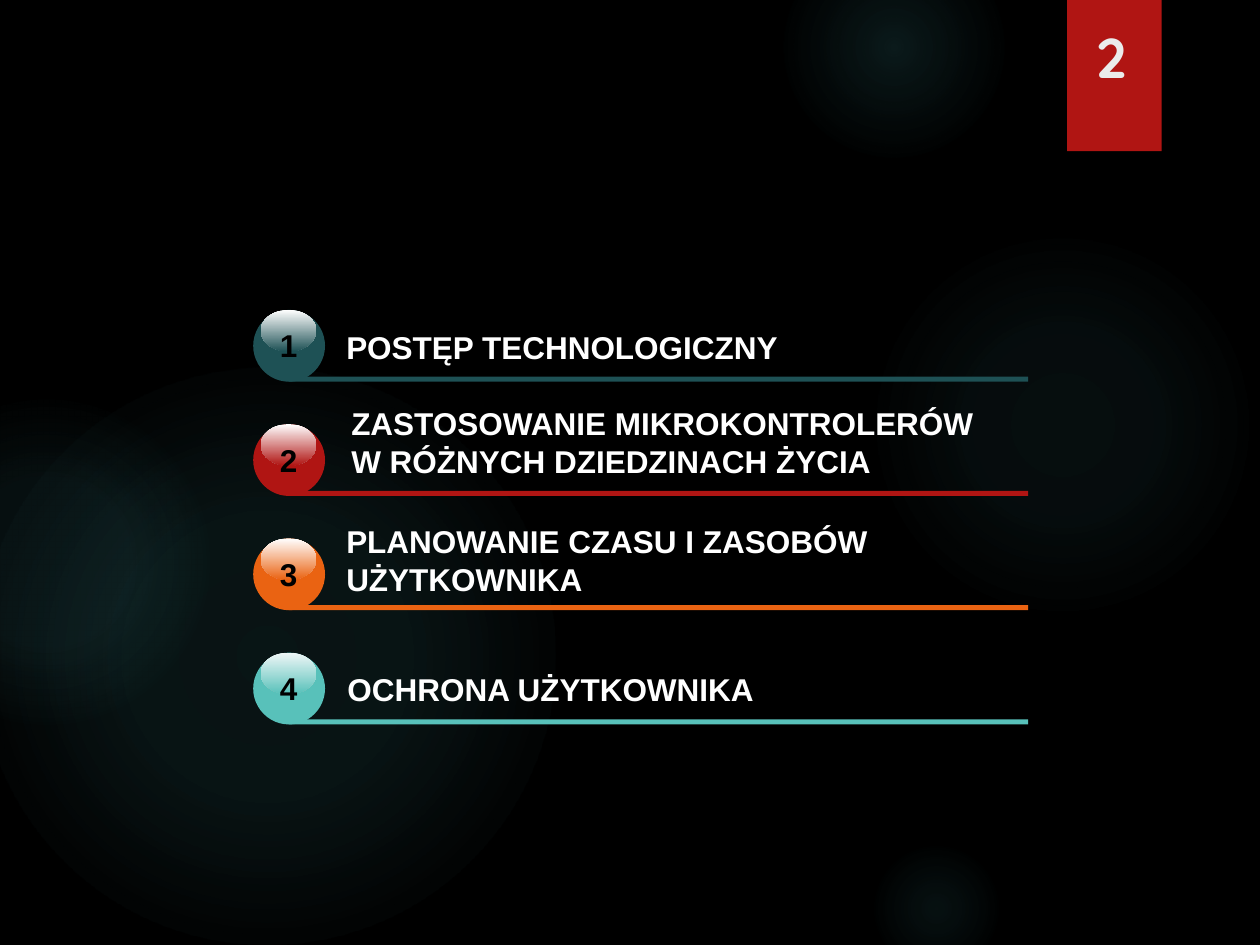
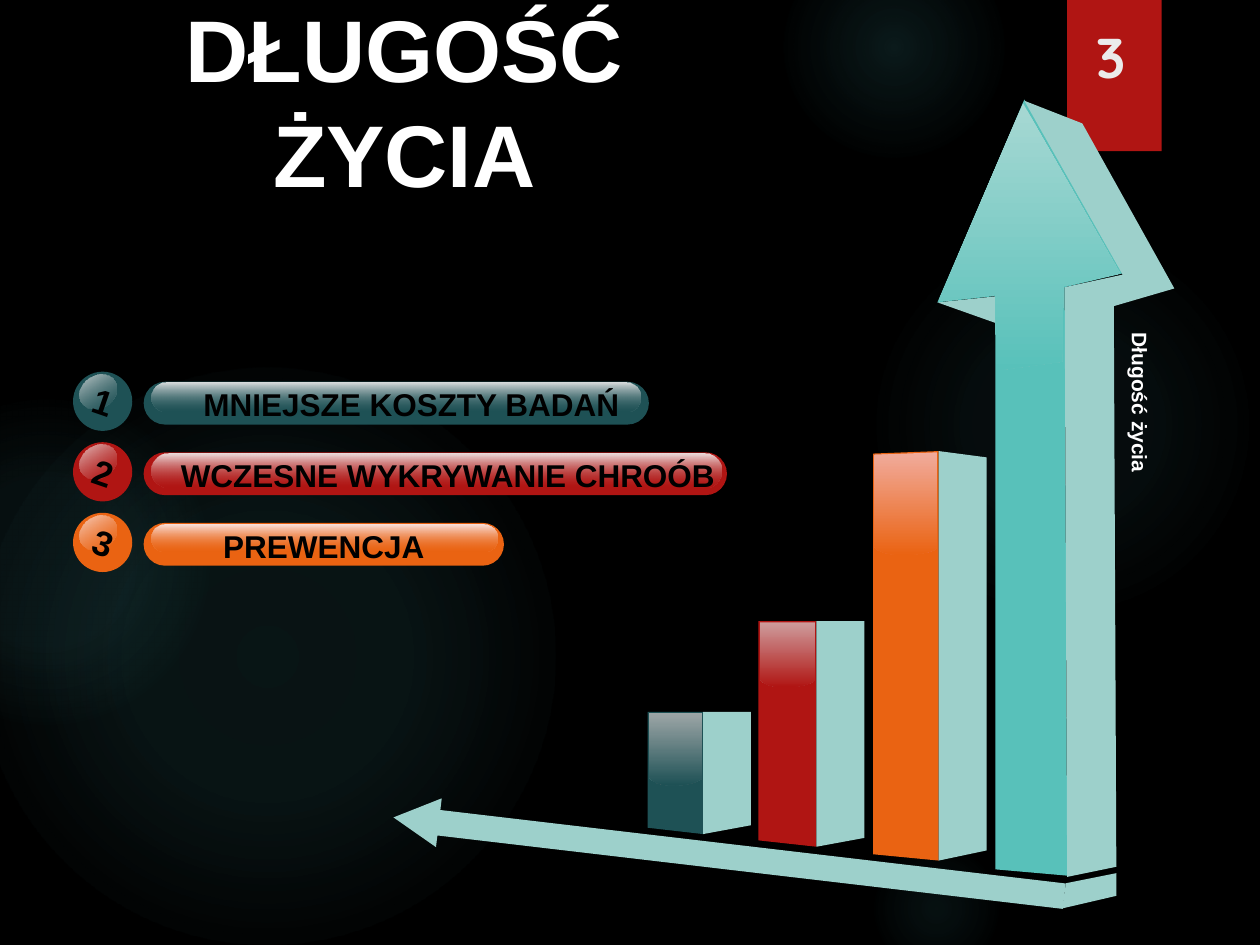
from lxml.etree import SubElement
from pptx import Presentation
from pptx.dml.color import RGBColor
from pptx.enum.shapes import MSO_SHAPE
from pptx.enum.text import MSO_ANCHOR, PP_ALIGN
from pptx.oxml.ns import qn
from pptx.util import Inches, Pt

BLACK, WHITE, PALE = "000000", "FFFFFF", "EBEBEB"
PETROL, RED, ORANGE, TEAL, MIST = "1E5155", "B01513", "EA6312", "58C1BA", "9DD0CB"
GLOW = "50B9C1"
BODY_FONT, NUMBER_FONT = "Arial", "Quicksand"
TITLE_ONLY, BLANK = 5, 6

GLOWS = [
    (6.89, 1.83, 3.08, [(0, 7), (36, 6), (69, 0)]),
    (6.22, -0.5, 1.75, [(0, 14), (36, 7), (73, 0)]),
    (6.89, 6.67, 1.08, [(0, 9), (36, 5), (66, 0)]),
    (-0.17, 2.92, 4.58, [(0, 11), (36, 10), (75, 0)]),
    (-0.92, 3.17, 2.58, [(0, 8), (36, 8), (72, 0)]),
]

AGENDA = [
    (PETROL, WHITE, 2.65, 2.41, ["POSTĘP TECHNOLOGICZNY"]),
    (RED, WHITE, 2.69, 3.16,
     ["ZASTOSOWANIE MIKROKONTROLERÓW", "W RÓŻNYCH DZIEDZINACH ŻYCIA"]),
    (ORANGE, WHITE, 2.65, 4.1, ["PLANOWANIE CZASU I ZASOBÓW", "UŻYTKOWNIKA"]),
    (TEAL, "F0F7F7", 2.66, 5.12, ["OCHRONA UŻYTKOWNIKA"]),
]

BENEFITS = [
    (PETROL, "DFE1E2", 4.01, 3.88, 0.23, 3.95, "MNIEJSZE KOSZTY BADAŃ"),
    (RED, "EDDFDF", 4.63, 4.53, 0.27, 4.53, "WCZESNE WYKRYWANIE CHROÓB"),
    (ORANGE, "FAE3DF", 2.86, 2.75, 0.22, 2.56, "PREWENCJA"),
]

BARS = [
    (PETROL, "9DA6A7", (5.14, 5.58, 5.96), (5.65, 5.65, 5.65), (6.57, 6.62, 6.55), 6.17),
    (RED, "CE9C9C", (6.02, 6.48, 6.86), (4.93, 4.93, 4.93), (6.67, 6.72, 6.65), 5.39),
    (ORANGE, "F1AB9C", (6.93, 7.45, 7.83), (3.6, 3.58, 3.63), (6.78, 6.83, 6.75), 4.34),
]


def rgb(value):
    """Turn a hex string into a colour."""
    return RGBColor.from_string(value)


def write_text(shape, lines, size=18, color=BLACK, font=BODY_FONT,
               align=PP_ALIGN.CENTER, anchor=MSO_ANCHOR.MIDDLE, wrap=True):
    """Fill a shape with bold paragraphs in one format."""
    frame = shape.text_frame
    frame.word_wrap = wrap
    frame.vertical_anchor = anchor
    frame.text = "\n".join(lines)
    for para in frame.paragraphs:
        para.alignment = align
        para.font.name = font
        para.font.size = Pt(size)
        para.font.bold = True
        para.font.color.rgb = rgb(color)


def curve(start, first, second, end, steps=10):
    """Return points along a cubic curve."""
    points = []
    for step in range(steps + 1):
        t = step / steps
        weights = ((1 - t) ** 3, 3 * t * (1 - t) ** 2, 3 * t * t * (1 - t), t ** 3)
        knots = (start, first, second, end)
        points.append(tuple(sum(w * k[axis] for w, k in zip(weights, knots))
                            for axis in (0, 1)))
    return points


class Painter:
    """Holds the deck style and the current slide."""

    def __init__(self):
        """Start an empty deck."""
        self.deck = Presentation()
        self.deck.slide_width, self.deck.slide_height = Inches(10), Inches(7.5)
        self.page = None

    def new_page(self, number, layout):
        """Add a slide with the shared glows, ribbon and page number."""
        self.page = self.deck.slides.add_slide(self.deck.slide_layouts[layout])
        fill = self.page.background.fill
        fill.solid()
        fill.fore_color.rgb = rgb(BLACK)
        for left, top, size, stops in GLOWS:
            glow = self.shape(MSO_SHAPE.OVAL, left, top, size, size)
            self.gradient(glow, [(at, GLOW, alpha) for at, alpha in stops], radial=True)
        self.shape(MSO_SHAPE.RECTANGLE, 8.47, 0, 0.75, 1.2, RED)
        self.text([number], 8.6, 0.01, 0.49, 0.75, size=32, color=PALE,
                  font=NUMBER_FONT, align=PP_ALIGN.LEFT, anchor=MSO_ANCHOR.BOTTOM)

    def title(self, words, left, top, width, height):
        """Place and format the title placeholder."""
        box = self.page.shapes.title
        box.left, box.top = Inches(left), Inches(top)
        box.width, box.height = Inches(width), Inches(height)
        write_text(box, [words], size=50, color=WHITE, wrap=False)

    def paint(self, shape, fill):
        """Remove shadow and line and set a solid fill."""
        shape.shadow.inherit = False
        shape.line.fill.background()
        if fill:
            shape.fill.solid()
            shape.fill.fore_color.rgb = rgb(fill)
        return shape

    def shape(self, kind, left, top, width, height, fill=None, turn=0, adjust=()):
        """Add a preset shape."""
        shape = self.page.shapes.add_shape(
            kind, Inches(left), Inches(top), Inches(width), Inches(height))
        shape.rotation = turn
        for index, value in enumerate(adjust):
            shape.adjustments[index] = value
        return self.paint(shape, fill)

    def gradient(self, shape, stops, radial=False):
        """Give a shape a vertical or radial gradient with transparency."""
        shape.fill.background()
        empty = shape.element.spPr.find(qn("a:noFill"))
        fill = SubElement(shape.element.spPr, qn("a:gradFill"), rotWithShape="1")
        shape.element.spPr.replace(empty, fill)
        stop_list = SubElement(fill, qn("a:gsLst"))
        for at, color, alpha in stops:
            stop = SubElement(stop_list, qn("a:gs"), pos=str(at * 1000))
            tint = SubElement(stop, qn("a:srgbClr"), val=color)
            if alpha < 100:
                SubElement(tint, qn("a:alpha"), val=str(alpha * 1000))
        if radial:
            around = SubElement(fill, qn("a:path"), path="circle")
            SubElement(around, qn("a:fillToRect"),
                       **{side: "50000" for side in ("l", "t", "r", "b")})
        else:
            SubElement(fill, qn("a:lin"), ang="5400000", scaled="0")

    def gloss(self, kind, left, top, width, height, light, color, alpha=15, **look):
        """Add a highlight that fades from light to the base colour."""
        shape = self.shape(kind, left, top, width, height, **look)
        self.gradient(shape, [(0, light, 100), (100, color, alpha)])

    def outline(self, points, fill=None):
        """Add a closed outline through points in inches."""
        corners = [(Inches(x), Inches(y)) for x, y in points]
        builder = self.page.shapes.build_freeform(*corners[0], scale=1.0)
        builder.add_line_segments(corners[1:], close=True)
        return self.paint(builder.convert_to_shape(), fill)

    def text(self, lines, left, top, width, height, turn=0, **look):
        """Add a text box."""
        box = self.page.shapes.add_textbox(
            Inches(left), Inches(top), Inches(width), Inches(height))
        box.rotation = turn
        write_text(box, lines, **look)
        return box


def agenda_page(painter):
    """Build the four-point agenda."""
    painter.new_page("2", BLANK)
    first_top, pitch = 2.46, 2.72 / 3
    for index, (color, light, text_left, text_top, lines) in enumerate(AGENDA):
        top = first_top + index * pitch
        painter.shape(MSO_SHAPE.RECTANGLE, 2.29, top + 0.53, 5.87, 0.04, color)
        painter.shape(MSO_SHAPE.OVAL, 2.01, top, 0.57, 0.57, color)
        painter.gloss(MSO_SHAPE.OVAL, 2.07, top, 0.44, 0.33, light, color, alpha=100)
        painter.text([str(index + 1)], 1.95, top - 0.04, 0.68, 0.64)
        painter.text(lines, text_left, text_top, 5.33, 0.69,
                     color=WHITE, align=PP_ALIGN.LEFT)


def draw_bars(painter):
    """Draw the three glossy bars."""
    for color, light, across, tops, bottoms, gloss_bottom in BARS:
        (left, middle, right) = across
        upper, lower = list(zip(across, tops)), list(zip(across, bottoms))
        painter.outline(upper[:2] + lower[1::-1], color)
        painter.outline(upper[1:] + lower[:0:-1], MIST)
        start, end = left + 0.01, middle - 0.01
        sag = curve((start, gloss_bottom), (start + 0.07, gloss_bottom + 0.1),
                    (end - 0.07, gloss_bottom + 0.07), (end, gloss_bottom + 0.01))
        shine = painter.outline(
            [(end, tops[1] + 0.01), (start, tops[0] + 0.01)] + sag)
        painter.gradient(shine, [(0, light, 100), (100, color, 100)])


def draw_arrows(painter):
    """Draw the tall arrow, its label and the base arrow."""
    painter.outline([(7.92, 2.35), (7.44, 2.4), (7.92, 2.57)], MIST)
    painter.outline([(7.9, 6.9), (7.9, 2.35), (7.44, 2.4), (8.13, 0.79),
                     (8.91, 2.17), (8.45, 2.28), (8.47, 6.95)], TEAL)
    painter.outline([(8.13, 0.8), (8.59, 0.98), (9.32, 2.29), (8.84, 2.43),
                     (8.86, 6.88), (8.47, 6.96), (8.45, 2.28), (8.91, 2.18)], MIST)
    shine = painter.outline([(7.91, 2.94), (7.9, 2.34), (7.45, 2.39), (8.12, 0.82),
                             (8.89, 2.17), (8.44, 2.27), (8.43, 2.87)])
    painter.gradient(shine, [(0, "A7D8D3", 100), (100, TEAL, 100)])
    painter.shape(MSO_SHAPE.UP_ARROW, 5.59, 4.12, 0.39, 5.36, MIST,
                  turn=276.7, adjust=(0.52, 0.93))
    painter.outline([(8.86, 7.11), (8.43, 7.21), (8.46, 7.01), (8.86, 6.93)], MIST)
    label = painter.text(["Długość życia"], 8.8, 2.54, 0.4, 3.08, size=12, color=WHITE,
                         align=PP_ALIGN.LEFT, anchor=MSO_ANCHOR.TOP)
    label.text_frame._txBody.bodyPr.set("vert", "eaVert")


def benefits_page(painter):
    """Build the life-length slide with bars and three benefits."""
    painter.new_page("3", TITLE_ONLY)
    painter.title("DŁUGOŚĆ ŻYCIA", 0.75, 0.42, 4.92, 0.75)
    draw_bars(painter)
    draw_arrows(painter)
    pill, ball = MSO_SHAPE.ROUNDED_RECTANGLE, MSO_SHAPE.OVAL
    for index, row in enumerate(BENEFITS):
        color, light, width, gloss_width, gloss_height, text_width, words = row
        top = 2.95 + 0.56 * index
        painter.shape(pill, 1.14, top + 0.08, width, 0.34, color, adjust=(0.5,))
        painter.gloss(pill, 1.2, top + 0.09, gloss_width, gloss_height,
                      light, color, adjust=(0.5,))
        painter.shape(ball, 0.58, top, 0.47, 0.47, color)
        painter.gloss(ball, 0.62, top + 0.03, 0.31, 0.25, light, color, turn=328.6)
        painter.text([str(index + 1)], 0.64, top + 0.02, 0.36, 0.44, turn=19.1,
                     size=20, anchor=MSO_ANCHOR.TOP, wrap=False)
        painter.text([words], 1.29, top + 0.06, text_width, 0.4, anchor=MSO_ANCHOR.TOP)


def main():
    """Build and save the deck."""
    painter = Painter()
    agenda_page(painter)
    benefits_page(painter)
    painter.deck.save("out.pptx")


if __name__ == "__main__":
    main()
